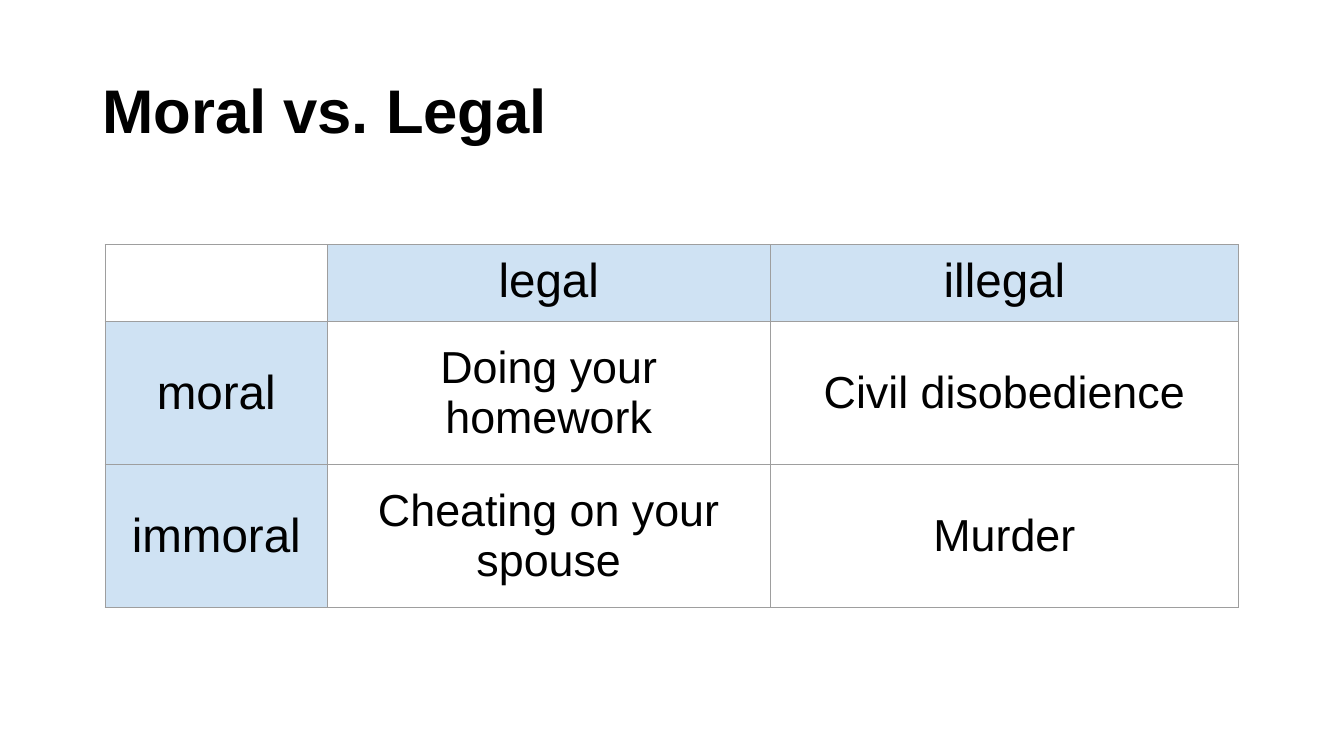
from dataclasses import dataclass

from lxml import etree
from pptx import Presentation
from pptx.dml.color import RGBColor
from pptx.enum.text import MSO_ANCHOR, PP_ALIGN
from pptx.oxml.ns import qn
from pptx.slide import Slide
from pptx.table import Table
from pptx.util import Pt

MIDDLE, TOP = MSO_ANCHOR.MIDDLE, MSO_ANCHOR.TOP
CENTER, LEFT = PP_ALIGN.CENTER, PP_ALIGN.LEFT

COLORS = {"text": "000000", "label": "CFE2F3", "border": "9E9E9E"}
BORDER_WIDTH = Pt(0.75)
COLUMN_WIDTHS = (159, 316, 335)
ROW_HEIGHTS = (53, 102, 102)
CELL_MARGINS = {
    "margin_left": Pt(7.2),
    "margin_right": Pt(7.2),
    "margin_top": Pt(7.2),
    "margin_bottom": Pt(7.2),
}
LABEL_FORMAT = {"name": "Arial", "size": Pt(34), "bold": False}
EXAMPLE_FORMAT = {**LABEL_FORMAT, "size": Pt(32)}
TITLE_FORMAT = {"name": "Arial", "size": Pt(44), "bold": True}


@dataclass(frozen=True)
class Entry:
    row: int
    column: int
    wording: str

    @property
    def is_label(self) -> bool:
        return bool(self.wording) and 0 in (self.row, self.column)


MATRIX = (
    ("", "legal", "illegal"),
    ("moral", "Doing your homework", "Civil disobedience"),
    ("immoral", "Cheating on your spouse", "Murder"),
)
ENTRIES = [
    Entry(row, column, wording)
    for row, wordings in enumerate(MATRIX)
    for column, wording in enumerate(wordings)
]


def write(paragraph, wording: str, formats: dict, alignment: PP_ALIGN) -> None:
    paragraph.alignment = alignment
    run = paragraph.add_run()
    run.text = wording
    for attribute, value in formats.items():
        setattr(run.font, attribute, value)
    run.font.color.rgb = RGBColor.from_string(COLORS["text"])


def add_borders(cell) -> None:
    properties = cell._tc.get_or_add_tcPr()
    for side in ("a:lnL", "a:lnR", "a:lnT", "a:lnB"):
        line = etree.SubElement(properties, qn(side), w=str(BORDER_WIDTH))
        fill = etree.SubElement(line, qn("a:solidFill"))
        etree.SubElement(fill, qn("a:srgbClr"), val=COLORS["border"])


def draw_entry(matrix: Table, entry: Entry) -> None:
    cell = matrix.cell(entry.row, entry.column)
    add_borders(cell)
    for attribute, value in CELL_MARGINS.items():
        setattr(cell, attribute, value)
    cell.vertical_anchor = MIDDLE if entry.row else TOP
    if entry.is_label:
        cell.fill.solid()
        cell.fill.fore_color.rgb = RGBColor.from_string(COLORS["label"])
    else:
        cell.fill.background()
    if entry.wording:
        formats = LABEL_FORMAT if entry.is_label else EXAMPLE_FORMAT
        write(cell.text_frame.paragraphs[0], entry.wording, formats, CENTER)


def draw_title(slide: Slide, wording: str) -> None:
    title = slide.shapes.add_textbox(Pt(66), Pt(28.8), Pt(828), Pt(104.4)).text_frame
    title.word_wrap = True
    title.vertical_anchor = MIDDLE
    title.paragraphs[0].line_spacing = 0.9
    write(title.paragraphs[0], wording, TITLE_FORMAT, LEFT)


def draw_matrix(slide: Slide) -> None:
    matrix = slide.shapes.add_table(
        len(ROW_HEIGHTS), len(COLUMN_WIDTHS),
        Pt(75), Pt(174.6), Pt(sum(COLUMN_WIDTHS)), Pt(sum(ROW_HEIGHTS)),
    ).table
    matrix.first_row = False
    matrix.horz_banding = False
    for column, width in zip(matrix.columns, COLUMN_WIDTHS):
        column.width = Pt(width)
    for row, height in zip(matrix.rows, ROW_HEIGHTS):
        row.height = Pt(height)
    for entry in ENTRIES:
        draw_entry(matrix, entry)


def main() -> None:
    presentation = Presentation()
    presentation.slide_width = Pt(960)
    presentation.slide_height = Pt(540)
    slide = presentation.slides.add_slide(presentation.slide_layouts[6])
    draw_title(slide, "Moral vs. Legal")
    draw_matrix(slide)
    presentation.save("out.pptx")


if __name__ == "__main__":
    main()
